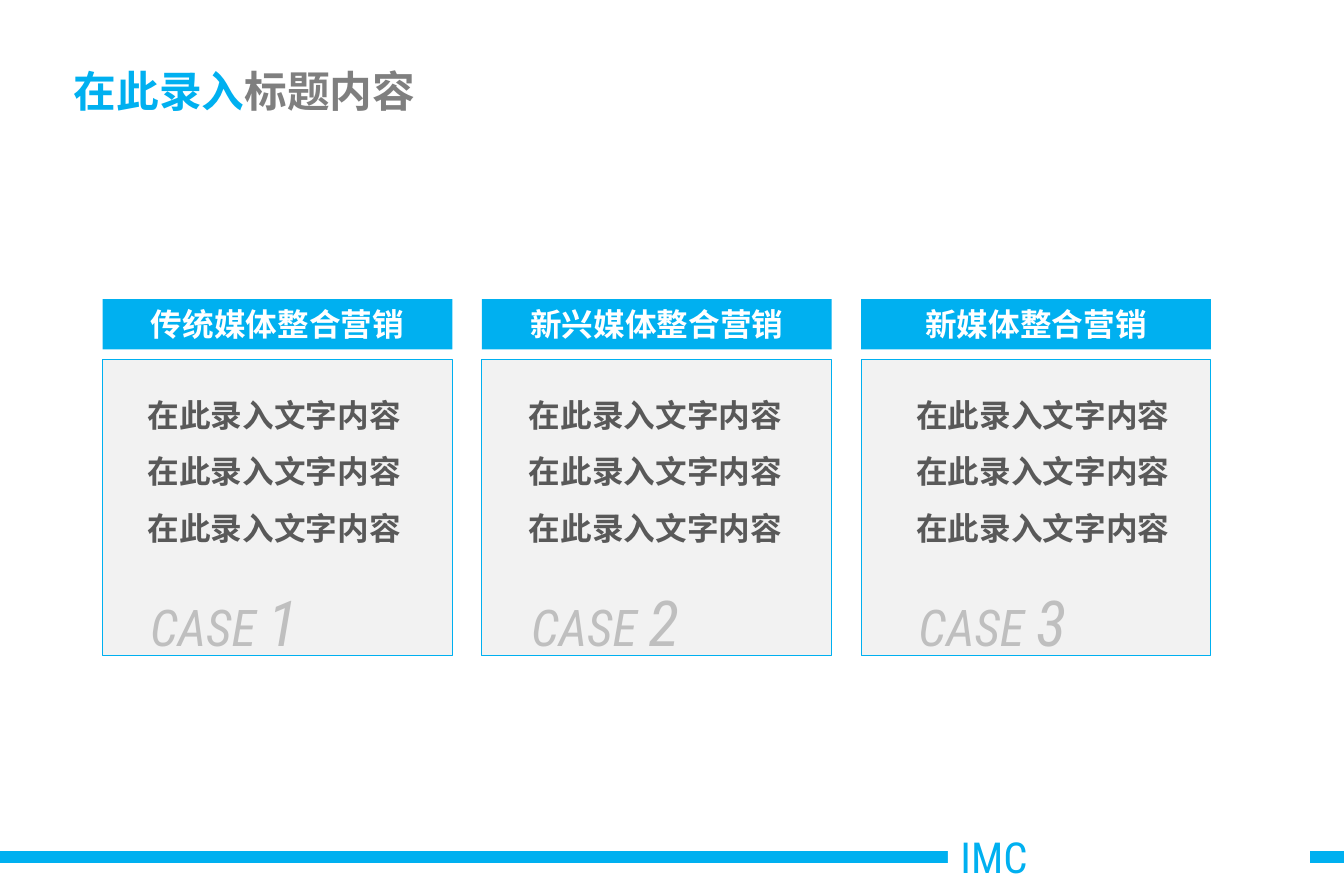
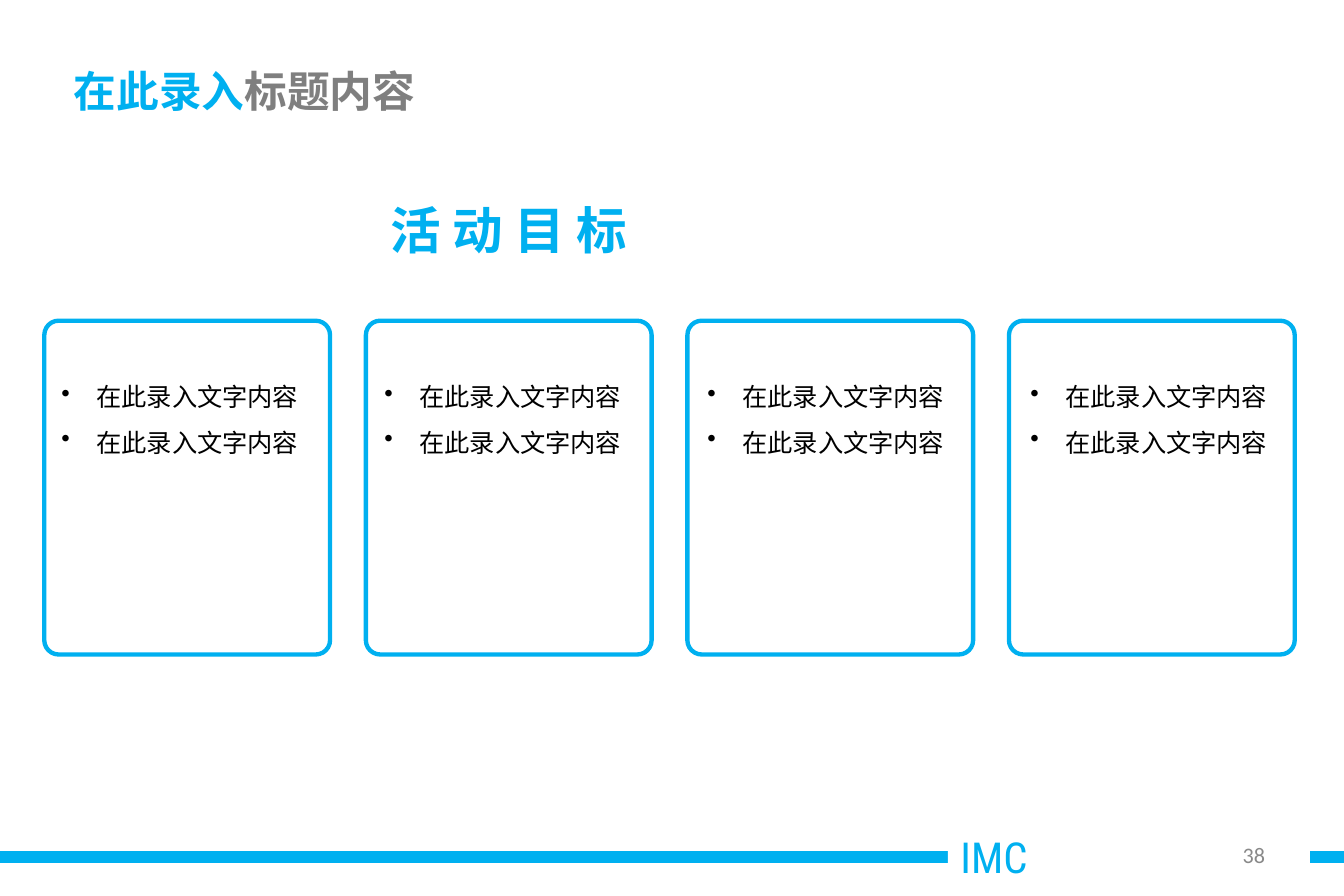
from dataclasses import dataclass

from pptx import Presentation
from pptx.dml.color import RGBColor
from pptx.enum.shapes import MSO_SHAPE as Shape
from pptx.enum.text import MSO_ANCHOR as Anchor, PP_ALIGN as Align
from pptx.oxml.xmlchemy import OxmlElement as element
from pptx.util import Inches, Mm, Pt

COLUMNS, ROWS = 300, 200  # grid of one-millimetre cells


@dataclass(frozen=True)
class Style:
    size: int
    color: str
    font: str = "Noto Sans CJK SC"
    bold: bool = False
    italic: bool = False


class Theme:
    accent, white, panel = "00B0F0", "FFFFFF", "F2F2F2"
    narrow = "Roboto Condensed"
    title = Style(27, accent, bold=True)
    title_rest = Style(27, "7F7F7F", bold=True)
    brand = Style(27, accent, narrow)
    number = Style(14, "898989", "Calibri")
    header = Style(20, white, bold=True)
    card = Style(20, "595959", bold=True)
    case = Style(32, "BFBFBF", narrow, italic=True)
    case_number = Style(40, "BFBFBF", narrow, italic=True)
    heading = Style(32, accent, bold=True)
    bullet = Style(16, "000000")
    card_line, frame_line = Pt(0.75), Pt(2.75)
    inset, wide_inset = (0.1, 0.05), (0.11, 0.06)


@dataclass(frozen=True)
class Box:
    """A region in grid columns and rows."""
    left: float
    top: float
    width: float
    height: float

    def area(self, left, top, width, height):
        return Box(self.left + left, self.top + top, width, height)

    def columns(self, count, gap):
        width = (self.width - gap * (count - 1)) / count
        return [self.area(i * (width + gap), 0, width, self.height)
                for i in range(count)]

    def place(self):
        return [Mm(n) for n in (self.left, self.top, self.width, self.height)]


def add_panel(page, box, fill=None, line=None, weight=None, kind=Shape.RECTANGLE):
    panel = page.shapes.add_shape(kind, *box.place())
    panel.shadow.inherit = False
    if fill:
        panel.fill.solid()
        panel.fill.fore_color.rgb = RGBColor.from_string(fill)
    else:
        panel.fill.background()
    if line:
        panel.line.color.rgb = RGBColor.from_string(line)
        panel.line.width = weight
    else:
        panel.line.fill.background()
    return panel


def format_span(span, style):
    font = span.font
    font.size, font.name = Pt(style.size), style.font
    font.bold, font.italic = style.bold, style.italic
    font.color.rgb = RGBColor.from_string(style.color)
    east_asian = element("a:ea")
    east_asian.set("typeface", style.font)
    span._r.get_or_add_rPr().append(east_asian)


def add_bullet(para, color):
    props = para._p.get_or_add_pPr()
    props.set("marL", str(Inches(0.31)))
    props.set("indent", str(-Inches(0.31)))
    bullet_color, rgb = element("a:buClr"), element("a:srgbClr")
    rgb.set("val", color)
    bullet_color.append(rgb)
    bullet = element("a:buChar")
    bullet.set("char", "•")
    props.extend([bullet_color, bullet])


def write(shape, text, style, tail=None, align=Align.LEFT, anchor=Anchor.TOP,
          inset=Theme.inset, spacing=None, bullets=False):
    """Fill a shape with text; tail is an optional (text, style) ending."""
    frame = shape.text_frame
    frame.word_wrap = True
    frame.vertical_anchor = anchor
    frame.margin_left = frame.margin_right = Inches(inset[0])
    frame.margin_top = frame.margin_bottom = Inches(inset[1])
    frame.text = text
    for para in frame.paragraphs:
        if bullets:
            add_bullet(para, style.color)
        para.alignment = align
        if spacing:
            para.line_spacing = spacing
        for span in para.runs:
            format_span(span, style)
    if tail:
        span = frame.paragraphs[-1].add_run()
        span.text = tail[0]
        format_span(span, tail[1])


def add_text(page, box, text, style, **options):
    write(page.shapes.add_textbox(*box.place()), text, style, **options)


def add_footer(page, box, number=None):
    add_panel(page, box.area(0, 6, box.width, 2.6), Theme.accent)
    brand = add_panel(page, box.area(211.6, 0, 80.8, 14.2), Theme.white)
    write(brand, "IMC", Theme.brand, inset=Theme.wide_inset)
    if number:
        add_text(page, box.area(215.1, 1.5, 70.1, 10.7), number, Theme.number,
                 align=Align.RIGHT, anchor=Anchor.MIDDLE, inset=Theme.wide_inset)


def add_page(deck, number=None):
    """Add a page with the shared title and footer."""
    page = deck.slides.add_slide(deck.slide_layouts[6])
    add_footer(page, Box(0, 184, COLUMNS, 16), number)
    add_text(page, Box(13.7, 12.4, 270, 15.7), "在此录入", Theme.title,
             tail=("标题内容", Theme.title_rest), anchor=Anchor.MIDDLE,
             inset=Theme.wide_inset)
    return page


def add_case(page, box, number, header, indent):
    banner = add_panel(page, box.area(0, 0, box.width, 11.2), Theme.accent)
    write(banner, header, Theme.header, align=Align.CENTER)
    add_panel(page, box.area(0, 13.5, box.width, box.height - 13.5),
              Theme.panel, Theme.accent, Theme.card_line)
    add_text(page, box.area(indent, 16, 62.5, 40.6),
             "\n".join(["在此录入文字内容"] * 3), Theme.card,
             align=Align.CENTER, spacing=1.5)
    add_text(page, box.area(indent + 1, 62.2, 65, 19.6), "CASE ", Theme.case,
             tail=(str(number), Theme.case_number))


def add_cases(page, box):
    cases = [("传统媒体整合营销", 7.1), ("新兴媒体整合营销", 7.5), ("新媒体整合营销", 9.3)]
    for number, (column, case) in enumerate(zip(box.columns(3, 6.6), cases), 1):
        add_case(page, column, number, *case)


def add_goals(page, box):
    for column in box.area(1.3, 8.9, 276.3, 67).columns(4, 12.1):
        add_text(page, column, "\n".join(["在此录入文字内容"] * 2), Theme.bullet,
                 spacing=1.5, bullets=True)
    for column in box.columns(4, 8):
        frame = add_panel(page, column, line=Theme.accent,
                          weight=Theme.frame_line, kind=Shape.ROUNDED_RECTANGLE)
        frame.adjustments[0] = 0.05


def main():
    deck = Presentation()
    deck.slide_width, deck.slide_height = Mm(COLUMNS), Mm(ROWS)

    add_cases(add_page(deck), Box(22.9, 66.8, 247.4, 79.5))

    goals = add_page(deck, "38")
    add_text(goals, Box(84.6, 43.2, 117.6, 16.3), "活 动 目 标", Theme.heading)
    add_goals(goals, Box(9.9, 71.6, 279.1, 74.5))

    deck.save("out.pptx")


if __name__ == "__main__":
    main()
